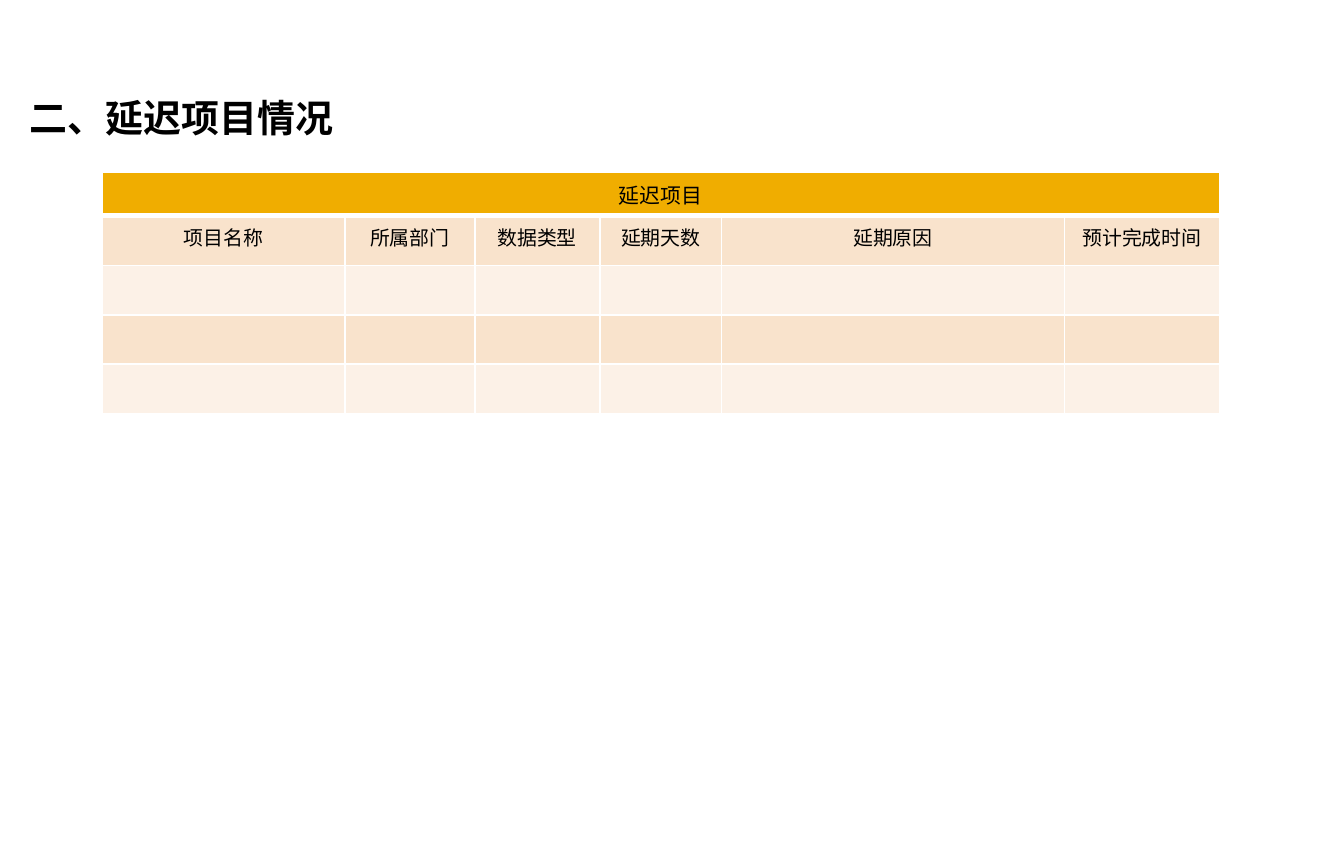
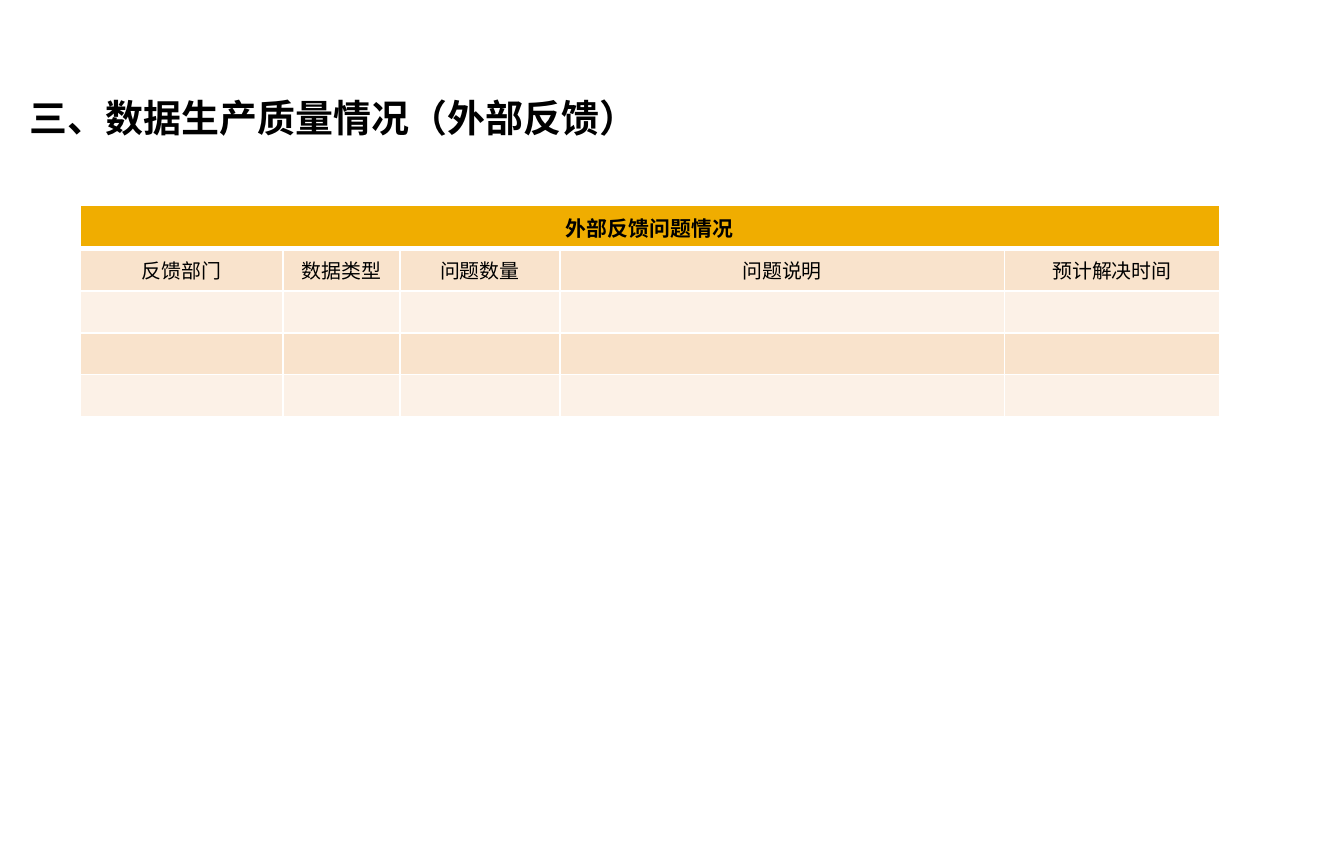
from lxml.etree import SubElement
from pptx import Presentation
from pptx.dml.color import RGBColor
from pptx.enum.text import MSO_ANCHOR, PP_ALIGN
from pptx.oxml.ns import qn
from pptx.util import Cm, Emu, Pt

PIXEL = 914400 / 136.6
FONT = "Arial"
BLACK = RGBColor(0x00, 0x00, 0x00)
WHITE = RGBColor(0xFF, 0xFF, 0xFF)
AMBER = RGBColor(0xF0, 0xAD, 0x00)
PEACH = RGBColor(0xF9, 0xE3, 0xCC)
CREAM = RGBColor(0xFC, 0xF1, 0xE7)
HEADER_SIZE, BODY_SIZE = Pt(11), Pt(10.5)
HEADER_HEIGHT = 44
ROW_COUNT = 5

SLIDES = [
    {
        "title": "二、延迟项目情况",
        "header": "延迟项目",
        "header_bold": False,
        "labels": ["项目名称", "所属部门", "数据类型", "延期天数", "延期原因", "预计完成时间"],
        "left": 102, "top": 172, "row_height": 49.5,
        "widths": [243, 130, 125, 122, 343, 155],
    },
    {
        "title": "三、数据生产质量情况（外部反馈）",
        "header": "外部反馈问题情况",
        "header_bold": True,
        "labels": ["反馈部门", "数据类型", "问题数量", "问题说明", "预计解决时间"],
        "left": 80, "top": 205, "row_height": 42,
        "widths": [203, 117, 160, 445, 215],
    },
]


def px(pixels):
    return Emu(round(pixels * PIXEL))


def style_text(paragraph, size, bold):
    font = paragraph.font
    font.name, font.size, font.bold = FONT, size, bold
    font.color.rgb = BLACK


presentation = Presentation()
presentation.slide_width, presentation.slide_height = Cm(25), Cm(16)

for content in SLIDES:
    slide = presentation.slides.add_slide(presentation.slide_layouts[6])

    # Title
    title = slide.shapes.add_textbox(px(16), px(87), px(925), px(61))
    title.text_frame.word_wrap = True
    title.text_frame.vertical_anchor = MSO_ANCHOR.MIDDLE
    title.text_frame.text = content["title"]
    style_text(title.text_frame.paragraphs[0], Pt(20), True)

    # Table grid
    widths = content["widths"]
    heights = [HEADER_HEIGHT] + [content["row_height"]] * (ROW_COUNT - 1)
    table = slide.shapes.add_table(
        ROW_COUNT, len(widths), px(content["left"]), px(content["top"]),
        px(sum(widths)), px(sum(heights))).table
    for column, width in zip(table.columns, widths):
        column.width = px(width)
    for row, height in zip(table.rows, heights):
        row.height = px(height)
    table.cell(0, 0).merge(table.cell(0, len(widths) - 1))

    # Table text
    table.cell(0, 0).text = content["header"]
    for column_index, label in enumerate(content["labels"]):
        table.cell(1, column_index).text = label

    # Cell borders, fills and fonts
    for row_index, row in enumerate(table.rows):
        is_header = row_index == 0
        for cell in row.cells:
            properties = cell._tc.get_or_add_tcPr()
            for side in ("L", "R", "T", "B"):
                thick = (row_index, side) in ((0, "B"), (1, "T"))
                border = SubElement(properties, qn(f"a:ln{side}"), w=str(Pt(3 if thick else 1)))
                border_fill = SubElement(border, qn("a:solidFill"))
                SubElement(border_fill, qn("a:srgbClr"), val=str(WHITE))
            cell.fill.solid()
            cell.fill.fore_color.rgb = AMBER if is_header else (CREAM, PEACH)[row_index % 2]

            paragraph = cell.text_frame.paragraphs[0]
            paragraph.alignment = PP_ALIGN.CENTER
            size = HEADER_SIZE if is_header else BODY_SIZE
            style_text(paragraph, size, is_header and content["header_bold"])
            if not cell.text:
                # An empty cell takes its line height from the end mark
                SubElement(paragraph._p, qn("a:endParaRPr"), sz=str(int(size.pt * 100)))

presentation.save("out.pptx")
